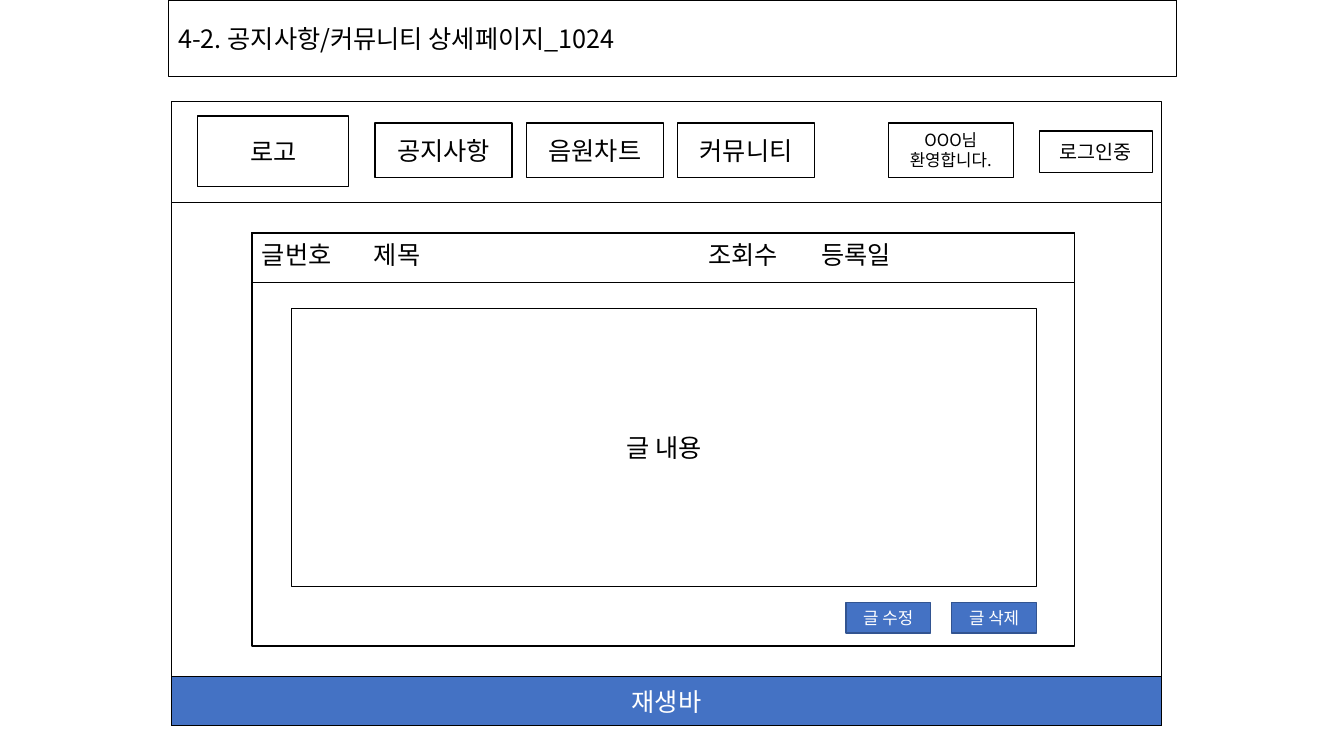
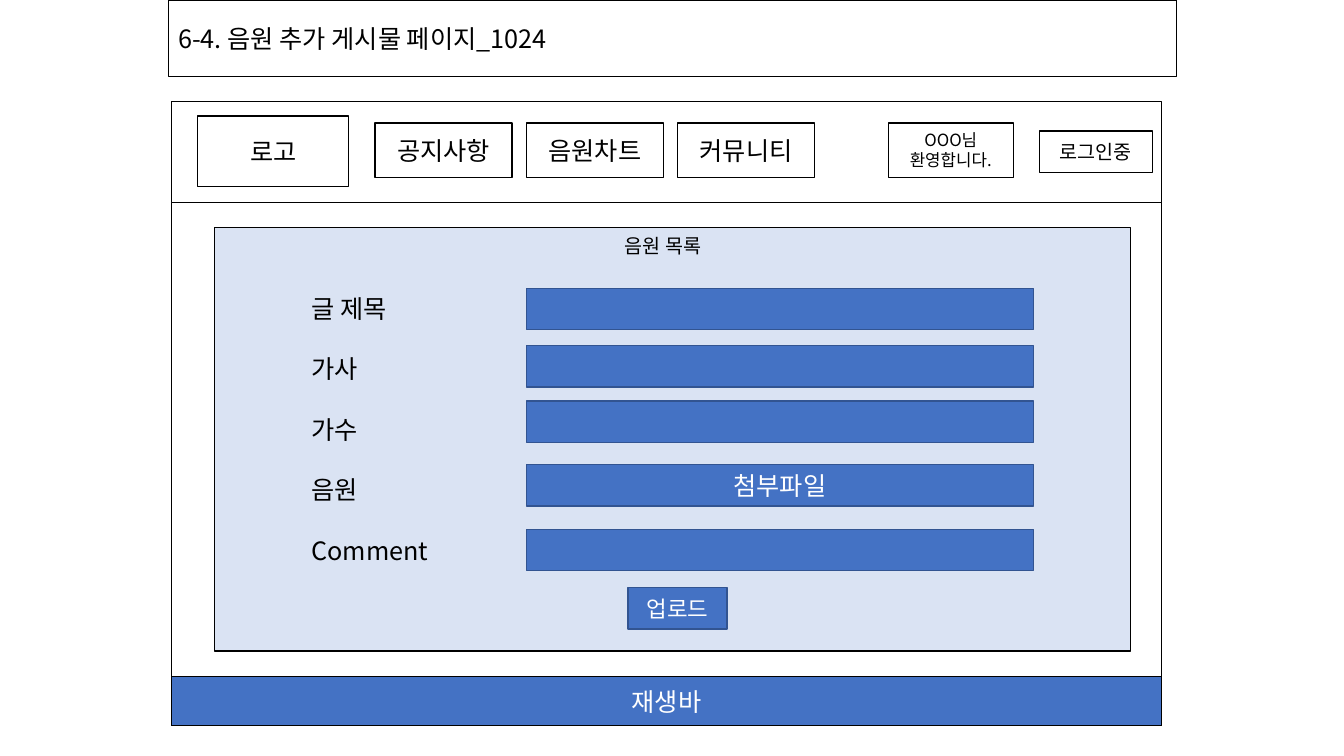
from lxml import etree
from pptx import Presentation, util as u
from pptx.dml import color
from pptx.enum import shapes, text
from pptx.oxml import ns

FONT = "Noto Sans CJK KR"
BLACK, WHITE, BLUE, NAVY, PALE = "000000", "FFFFFF", "4472C4", "325491", "DAE3F3"
PLAIN = {"fill": WHITE, "edge": BLACK, "ink": BLACK}
SOLID = {"fill": BLUE, "edge": NAVY, "ink": WHITE}
TITLE = (1.67, 0, 10, 0.76)
FRAME = (1.7, 1.01, 9.82, 6.19)


def paint(part, code):
    """Give a fill or a font colour a hex colour."""
    part.rgb = color.RGBColor.from_string(code)


def inset(box, x, y, wide, high):
    """Return a box offset from the corner of another box."""
    return box[0] + x, box[1] + y, wide, high


def write(frame, words, size, ink, align="LEFT", gap=0, tabs=()):
    """Fill a text frame with one paragraph per line."""
    frame.word_wrap = True
    for i, line in enumerate(words.split("\n")):
        para = frame.paragraphs[0] if i == 0 else frame.add_paragraph()
        form = {"alignment": text.PP_ALIGN[align],
                "line_spacing": u.Pt(size * 1.2), "space_after": u.Pt(gap)}
        for key, value in form.items():
            setattr(para, key, value)
        if tabs:
            stops = etree.SubElement(para._p.get_or_add_pPr(), ns.qn("a:tabLst"))
            for stop in tabs:
                etree.SubElement(stops, ns.qn("a:tab"), pos=str(u.Inches(stop)), algn="l")
        run = para.add_run()
        run.text = line
        run.font.size = u.Pt(size)
        run.font.fill.solid()
        paint(run.font.fill.fore_color, ink)
        run.font.name = FONT
        etree.SubElement(run.font._element, ns.qn("a:ea"), typeface=FONT)


def panel(page, box, words="", size=18, align="CENTER", fill=WHITE, edge=BLACK, ink=BLACK):
    """Draw an outlined rectangle with optional text."""
    shape = page.shapes.add_shape(shapes.MSO_SHAPE.RECTANGLE, *map(u.Inches, box))
    shape.shadow.inherit = False
    if fill:
        shape.fill.solid()
        paint(shape.fill.fore_color, fill)
    else:
        shape.fill.background()
    paint(shape.line.color, edge)
    shape.line.width = u.Pt(1)
    if words:
        shape.text_frame.vertical_anchor = text.MSO_ANCHOR.MIDDLE
        write(shape.text_frame, words, size, ink, align)


def label(page, box, words, size=18, **form):
    """Place black text without an outline."""
    frame = page.shapes.add_textbox(*map(u.Inches, box)).text_frame
    write(frame, words, size, BLACK, **form)


def shell(page, box):
    """Draw the site frame with its menu and player bar."""
    group = page.shapes.add_group_shape()
    wide, high = box[2:]
    panel(group, inset(box, 0, 0.01, wide, high - 0.01))
    panel(group, inset(box, 0, 0, wide, 1))
    panel(group, inset(box, 0.26, 0.14, 1.5, 0.7), "로고")
    for i, name in enumerate(("공지사항", "음원차트", "커뮤니티")):
        panel(group, inset(box, 2.02 + 1.5 * i, 0.21, 1.36, 0.54), name)
    panel(group, inset(box, 8.61, 0.29, 1.12, 0.41), "로그인중", 14)
    panel(group, inset(box, 0, high - 0.49, wide, 0.49), "재생바", fill=BLUE, ink=WHITE)
    panel(group, inset(box, 7.11, 0.21, 1.24, 0.54), "OOO님 환영합니다.", 12)


def post(page, box):
    """Draw a post with its heading row, body and buttons."""
    wide = box[2]
    panel(page, box, **PLAIN)
    panel(page, inset(box, 0, 0, wide, 0.49), **PLAIN)
    label(page, inset(box, 0, 0.02, wide, 0.4), "글번호\t제목\t조회수\t등록일",
          tabs=(1.11, 4.43, 5.55))
    panel(page, inset(box, 0.39, 0.75, 7.39, 2.76), "글 내용", **PLAIN)
    for i, name in enumerate(("글 수정", "글 삭제")):
        panel(page, inset(box, 5.89 + 1.05 * i, 3.67, 0.84, 0.3), name, 12, **SOLID)


def entry(page, box):
    """Draw the form for adding a track."""
    panel(page, box, fill=PALE)
    label(page, inset(box, 3.97, 0.01, 1.23, 0.34), "음원 목록", 14)
    label(page, inset(box, 0.86, 0.6, 1.94, 2.83),
          "글 제목\n가사\n가수\n음원\nComment", gap=21.6)
    panel(page, inset(box, 4.1, 3.57, 0.98, 0.41), "업로드", 16, **SOLID)
    for top, words in ((0.6, ""), (1.17, ""), (1.72, ""), (2.35, "첨부파일"), (2.99, "")):
        panel(page, inset(box, 3.09, top, 5.03, 0.41), words, **SOLID)


deck = Presentation()
deck.slide_width, deck.slide_height = u.Inches(13.33), u.Inches(7.5)
for title, body, area in (
        ("4-2. 공지사항/커뮤니티 상세페이지_1024", post, (2.5, 2.31, 8.16, 4.1)),
        ("6-4. 음원 추가 게시물 페이지_1024", entry, (2.13, 2.26, 9.08, 4.2))):
    page = deck.slides.add_slide(deck.slide_layouts[6])
    panel(page, TITLE, title, align="LEFT", fill=None)
    shell(page, FRAME)
    body(page, area)
deck.save("out.pptx")
